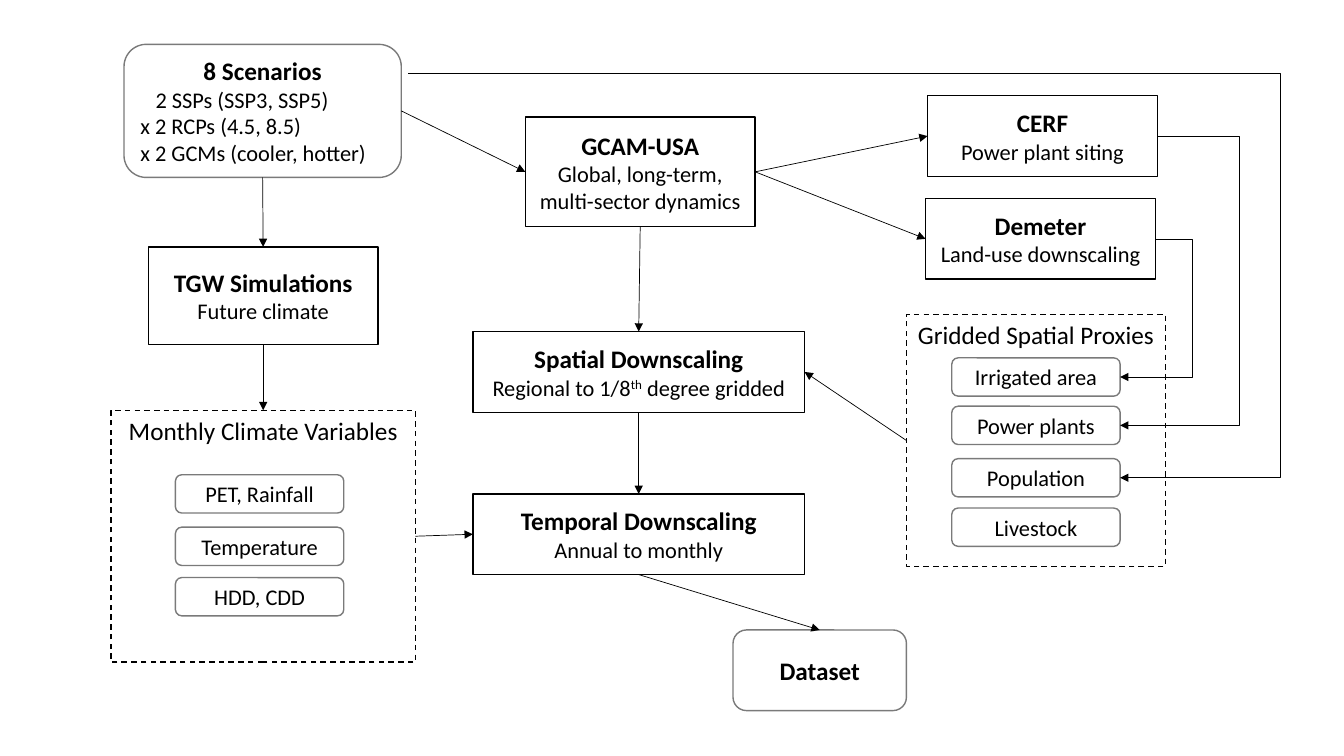
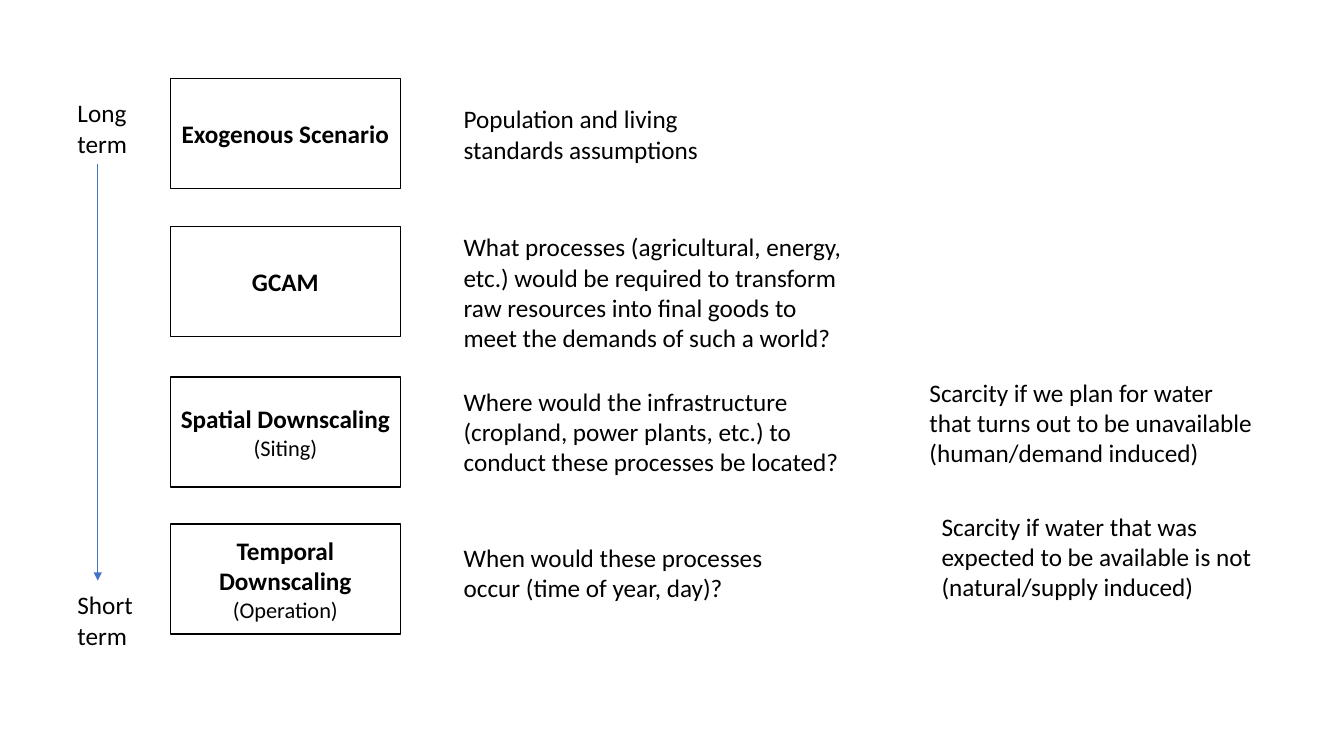
import pptx
import pptx.dml.color
import pptx.enum.dml
import pptx.enum.shapes
import pptx.enum.text
import pptx.oxml
import pptx.oxml.ns
import pptx.util

Inches = pptx.util.Inches
SHAPES = pptx.enum.shapes.MSO_SHAPE
ANCHORS = pptx.enum.text.MSO_ANCHOR
ALIGNS = pptx.enum.text.PP_ALIGN
TOP, LEFT, BOTTOM, RIGHT = range(4)


def color(value):
    return pptx.dml.color.RGBColor.from_string(value)


def append_xml(parent, tag, **attributes):
    element = pptx.oxml.parse_xml(f"<a:{tag} {pptx.oxml.ns.nsdecls('a')}/>")
    for name, value in attributes.items():
        element.set(name, str(value))
    parent.append(element)
    return element


def write(frame, text, size=16, bold=False, align=ALIGNS.CENTER, indent=0):
    para = frame.paragraphs[0]
    if para.runs:
        para = frame.add_paragraph()
    para.alignment = align
    if indent:
        para._p.get_or_add_pPr().set("marL", str(Inches(indent)))
    for position, piece in enumerate(text.split("^")):
        span = para.add_run()
        span.text = piece
        span.font.name = Diagram.FONT
        span.font.size = pptx.util.Pt(size)
        span.font.bold = bold
        span.font.color.rgb = color(Diagram.INK)
        if position % 2:
            span._r.get_or_add_rPr().set("baseline", "30000")


class Diagram:
    """Hold the diagram style and draw its elements on the current page."""

    FONT = "Calibri"
    INK = "000000"
    PAPER = "FFFFFF"
    GRAY = "7A7A7A"
    BLUE = "4472C4"
    TITLE_SIZE = 18
    BOX_WIDTH = 2.28

    def __init__(self):
        self.deck = pptx.Presentation()
        self.deck.slide_width = Inches(13.33)
        self.deck.slide_height = Inches(7.5)
        self.page = None

    def new_page(self):
        self.page = self.deck.slides.add_slide(self.deck.slide_layouts[6])

    def outline(self, kind, left, top, width, height, line, fill=None):
        shape = self.page.shapes.add_shape(
            kind, Inches(left), Inches(top), Inches(width), Inches(height))
        shape.shadow.inherit = False
        if fill:
            shape.fill.solid()
            shape.fill.fore_color.rgb = color(fill)
        else:
            shape.fill.background()
        shape.line.color.rgb = color(line)
        shape.line.width = pptx.util.Pt(1)
        shape.text_frame.word_wrap = True
        shape.text_frame.vertical_anchor = ANCHORS.MIDDLE
        return shape

    def box(self, left, top, height, title, detail="", width=BOX_WIDTH):
        box = self.outline(SHAPES.RECTANGLE, left, top, width, height, self.INK, self.PAPER)
        write(box.text_frame, title, size=self.TITLE_SIZE, bold=True)
        if detail:
            write(box.text_frame, detail)
        return box

    def rounded(self, left, top, width, height, text, **text_format):
        box = self.outline(SHAPES.ROUNDED_RECTANGLE, left, top, width, height, self.GRAY)
        write(box.text_frame, text, **text_format)
        return box

    def chip(self, left, top, text):
        return self.rounded(left, top, 1.67, 0.38, text)

    def group_frame(self, left, top, width, title):
        frame = self.outline(SHAPES.RECTANGLE, left, top, width, 2.5, self.INK)
        frame.line.dash_style = pptx.enum.dml.MSO_LINE.DASH
        frame.text_frame.vertical_anchor = ANCHORS.TOP
        write(frame.text_frame, title, size=self.TITLE_SIZE)
        return frame

    def note(self, left, top, width, height, text):
        box = self.page.shapes.add_textbox(
            Inches(left), Inches(top), Inches(width), Inches(height))
        box.text_frame.word_wrap = True
        write(box.text_frame, text, size=self.TITLE_SIZE, align=ALIGNS.LEFT)

    def arrow(self, start=(0, 0), end=(0, 0), begin_at=None, end_at=None,
              line=INK, bend_x=None):
        kinds = pptx.enum.shapes.MSO_CONNECTOR
        kind = kinds.STRAIGHT if bend_x is None else kinds.ELBOW
        points = [Inches(value) for value in (*start, *end)]
        arrow = self.page.shapes.add_connector(kind, *points)
        if begin_at:
            arrow.begin_connect(*begin_at)
        if end_at:
            arrow.end_connect(*end_at)
        arrow.line.color.rgb = color(line)
        arrow.line.width = pptx.util.Pt(0.5)
        properties = arrow._element.spPr
        append_xml(arrow.line._get_or_add_ln(), "tailEnd", type="triangle")
        append_xml(properties, "effectLst")
        if bend_x is not None:
            ratio = (Inches(bend_x) - arrow.begin_x) / (arrow.end_x - arrow.begin_x)
            guides = properties.prstGeom.get_or_add_avLst()
            append_xml(guides, "gd", name="adj1", fmla=f"val {round(ratio * 100000)}")


def draw_workflow(diagram):
    diagram.new_page()
    scenarios = diagram.rounded(1.23, 0.44, 2.75, 1.32, "8 Scenarios",
                                size=diagram.TITLE_SIZE, bold=True)
    for text, indent in (("2 SSPs (SSP3, SSP5)", 0.15),
                         ("x 2 RCPs (4.5, 8.5)", 0),
                         ("x 2 GCMs (cooler, hotter)", 0)):
        write(scenarios.text_frame, text, align=ALIGNS.LEFT, indent=indent)

    gcam = diagram.box(5.21, 1.16, 1.09, "GCAM-USA",
                       "Global, long-term, multi-sector dynamics")
    cerf = diagram.box(9.2, 0.95, 0.8, "CERF", "Power plant siting")
    demeter = diagram.box(9.18, 1.97, 0.8, "Demeter", "Land-use downscaling")
    simulations = diagram.box(1.47, 2.45, 0.97, "TGW Simulations", "Future climate")
    spatial = diagram.box(4.69, 3.29, 0.8, "Spatial Downscaling",
                          "Regional to 1/8^th^ degree gridded", width=3.29)
    temporal = diagram.box(4.69, 4.9, 0.8, "Temporal Downscaling",
                           "Annual to monthly", width=3.29)
    dataset = diagram.rounded(7.27, 6.25, 1.72, 0.8, "Dataset",
                              size=diagram.TITLE_SIZE, bold=True)

    proxies = diagram.group_frame(8.99, 3.12, 2.57, "Gridded Spatial Proxies")
    irrigated, plants, population, _ = [
        diagram.chip(9.44, top, text) for top, text in (
            (3.55, "Irrigated area"), (4.03, "Power plants"),
            (4.55, "Population"), (5.04, "Livestock"))]
    climate = diagram.group_frame(1.1, 4.07, 3.02, "Monthly Climate Variables")
    for top, text in ((4.71, "PET, Rainfall"), (5.23, "Temperature"), (5.73, "HDD, CDD")):
        diagram.chip(1.74, top, text)

    for source, source_side, target, target_side in (
            (scenarios, RIGHT, gcam, LEFT),
            (scenarios, BOTTOM, simulations, TOP),
            (simulations, BOTTOM, climate, TOP),
            (gcam, RIGHT, cerf, LEFT),
            (gcam, RIGHT, demeter, LEFT),
            (gcam, BOTTOM, spatial, TOP),
            (proxies, LEFT, spatial, RIGHT),
            (spatial, BOTTOM, temporal, TOP),
            (climate, RIGHT, temporal, LEFT),
            (temporal, BOTTOM, dataset, TOP)):
        diagram.arrow(begin_at=(source, source_side), end_at=(target, target_side))
    diagram.arrow(begin_at=(demeter, RIGHT), end_at=(irrigated, RIGHT), bend_x=11.83)
    diagram.arrow(begin_at=(cerf, RIGHT), end_at=(plants, RIGHT), bend_x=12.29)
    diagram.arrow(start=(4.05, 0.73), end_at=(population, RIGHT), bend_x=12.7)


def draw_time_scales(diagram):
    diagram.new_page()
    for top, title, detail in (
            (0.78, "Exogenous Scenario", ""),
            (2.25, "GCAM", ""),
            (3.74, "Spatial Downscaling", "(Siting)"),
            (5.2, "Temporal Downscaling", "(Operation)")):
        diagram.box(1.69, top, 1.09, title, detail)

    for top, width, height, text in (
            (0.98, 2.53, 0.71, "Population and living standards assumptions"),
            (2.25, 3.97, 1.31, "What processes (agricultural, energy, etc.) would be "
             "required to transform raw resources into final goods to meet the "
             "demands of such a world?"),
            (3.78, 3.97, 1.01, "Where would the infrastructure (cropland, power "
             "plants, etc.) to conduct these processes be located?"),
            (5.33, 3.29, 0.71, "When would these processes occur (time of year, day)?")):
        diagram.note(4.5, top, width, height, text)

    diagram.note(9.12, 3.69, 3.48, 1.01, "Scarcity if we plan for water that turns "
                 "out to be unavailable (human/demand induced)")
    diagram.note(9.24, 5.02, 3.6, 1.01, "Scarcity if water that was expected to be "
                 "available is not (natural/supply induced)")
    diagram.note(0.67, 0.92, 0.86, 0.71, "Long term")
    diagram.note(0.67, 5.8, 1.1, 0.71, "Short term")
    diagram.arrow(start=(0.97, 1.63), end=(0.97, 5.76), line=diagram.BLUE)


def main():
    diagram = Diagram()
    draw_workflow(diagram)
    draw_time_scales(diagram)
    diagram.deck.save("out.pptx")


if __name__ == "__main__":
    main()
